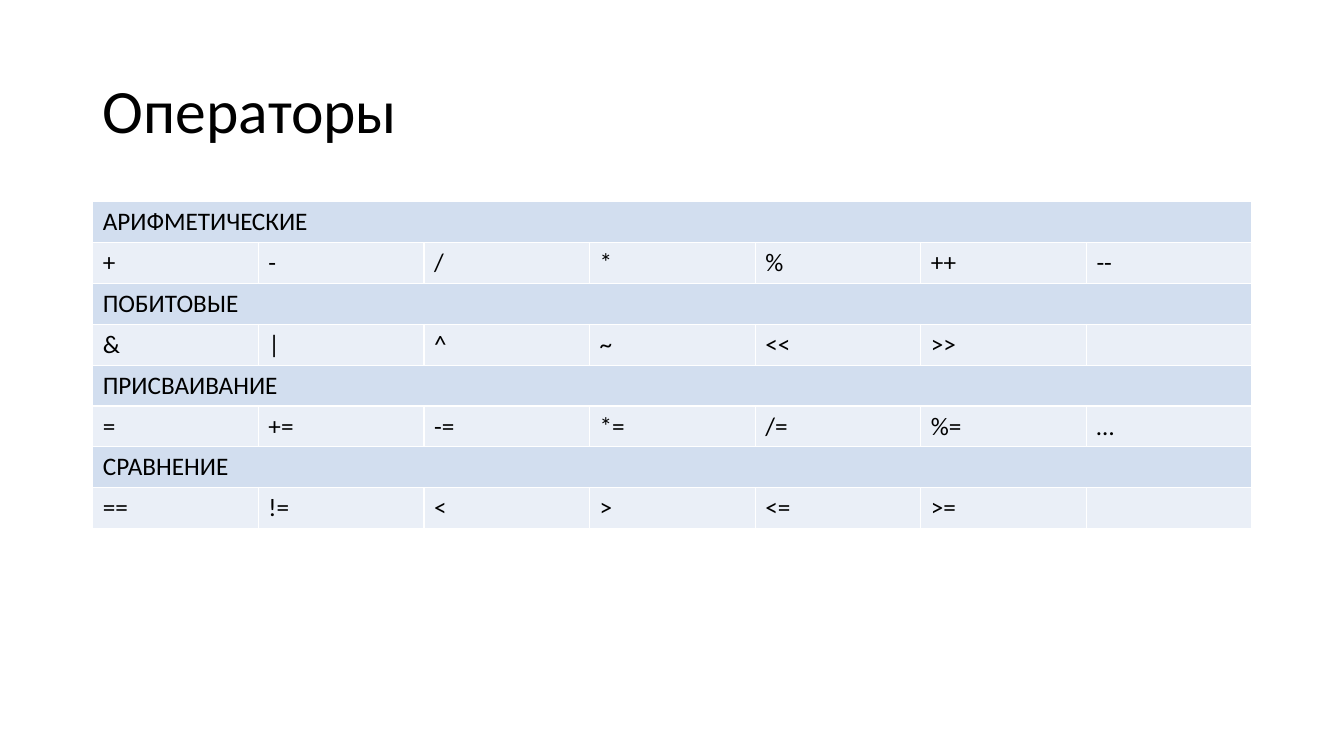
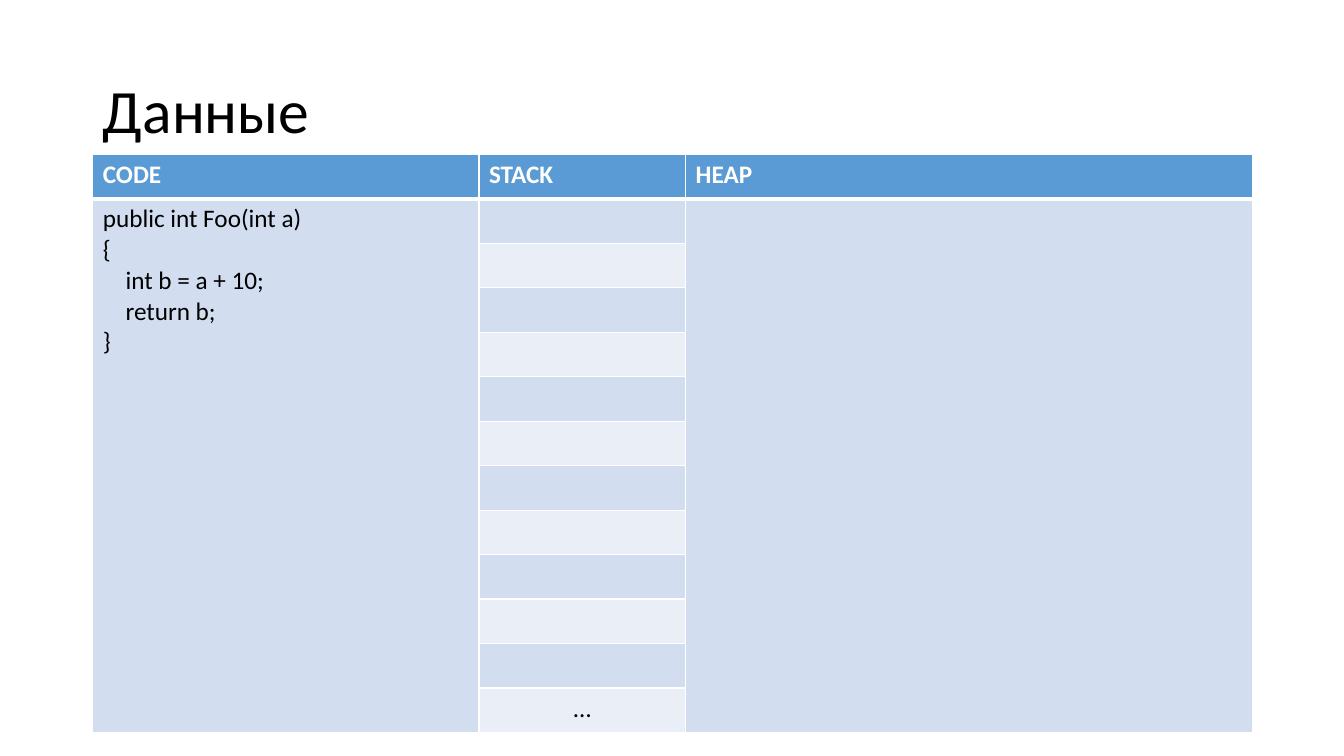
from lxml.etree import SubElement
from pptx import Presentation
from pptx.dml.color import RGBColor
from pptx.enum.text import MSO_ANCHOR, MSO_AUTO_SIZE, PP_ALIGN
from pptx.oxml.ns import qn
from pptx.util import Inches, Pt

FONT = "Calibri"
BLACK, WHITE = "000000", "FFFFFF"
HEADER, BAND_DARK, BAND_LIGHT = "5B9BD5", "D2DEEF", "EAEFF7"
TITLE_BOX = (0.92, 0.4, 11.5, 1.45)
TITLE_ONLY = 5

OPERATORS = {
    "АРИФМЕТИЧЕСКИЕ": ["+", "-", "/", "*", "%", "++", "--"],
    "ПОБИТОВЫЕ": ["&", "|", "^", "~", "<<", ">>"],
    "ПРИСВАИВАНИЕ": ["=", "+=", "-=", "*=", "/=", "%=", "…"],
    "СРАВНЕНИЕ": ["==", "!=", "<", ">", "<=", ">="],
}
MEMORY_AREAS = ["CODE", "STACK", "HEAP"]
STACK_CELLS = 12
CODE = """public int Foo(int a)
{
    int b = a + 10;
    return b;
}"""


def rgb(color):
    return RGBColor.from_string(color)


def add_run(paragraph, text, size=18, color=BLACK, bold=False):
    run = paragraph.add_run()
    run.text = text
    font = run.font
    font.name, font.size, font.bold = FONT, Pt(size), bold
    font.color.rgb = rgb(color)


def add_titled_slide(presentation, text):
    slide = presentation.slides.add_slide(presentation.slide_layouts[TITLE_ONLY])
    title = slide.shapes.title
    title.left, title.top, title.width, title.height = map(Inches, TITLE_BOX)
    frame = title.text_frame
    frame.word_wrap = True
    frame.auto_size = MSO_AUTO_SIZE.NONE
    frame.vertical_anchor = MSO_ANCHOR.MIDDLE
    paragraph = frame.paragraphs[0]
    paragraph.alignment = PP_ALIGN.LEFT
    paragraph.line_spacing = 0.9
    add_run(paragraph, text, size=44)
    return slide


def add_plain_table(slide, box, row_count, column_widths):
    left, top, width, height = map(Inches, box)
    table = slide.shapes.add_table(
        row_count, len(column_widths), left, top, width, height).table
    for column, column_width in zip(table.columns, column_widths):
        column.width = Inches(column_width)
    for row in table.rows:
        row.height = Inches(box[3] / row_count)
    return table


def set_borders(cell, top=1, bottom=1):
    properties = cell._tc.get_or_add_tcPr()
    for tag, points in (("lnL", 1), ("lnR", 1), ("lnT", top), ("lnB", bottom)):
        line = SubElement(properties, qn(f"a:{tag}"), w=str(Pt(points)))
        fill = SubElement(line, qn("a:solidFill"))
        SubElement(fill, qn("a:srgbClr"), val=WHITE)


def fill_cell(cell, fill, text="", color=BLACK, bold=False, align=PP_ALIGN.LEFT,
              top=1, bottom=1):
    set_borders(cell, top, bottom)
    cell.fill.solid()
    cell.fill.fore_color.rgb = rgb(fill)
    frame = cell.text_frame
    for index, line in enumerate(text.split("\n")):
        paragraph = frame.add_paragraph() if index else frame.paragraphs[0]
        paragraph.alignment = align
        paragraph.font.size = Pt(18)
        if line:
            add_run(paragraph, line, color=color, bold=bold)


def add_operator_table(slide, box):
    """Each group takes a full-width heading row and a row of operators."""
    column_count = max(map(len, OPERATORS.values()))
    widths = [box[2] / column_count] * column_count
    table = add_plain_table(slide, box, 2 * len(OPERATORS), widths)
    for group, (heading, operators) in enumerate(OPERATORS.items()):
        row = 2 * group
        table.cell(row, 0).merge(table.cell(row, column_count - 1))
        for column in range(column_count):
            fill_cell(table.cell(row, column), BAND_DARK,
                      "" if column else heading)
            operator = operators[column] if column < len(operators) else ""
            fill_cell(table.cell(row + 1, column), BAND_LIGHT, operator)


def add_memory_table(slide, box):
    """Code and heap are tall single cells beside the banded stack."""
    table = add_plain_table(slide, box, STACK_CELLS + 1, [3.83, 2.05, 5.62])
    for column, heading in enumerate(MEMORY_AREAS):
        fill_cell(table.cell(0, column), HEADER, heading, WHITE, True, bottom=3)
    for column in (0, 2):
        table.cell(1, column).merge(table.cell(STACK_CELLS, column))
    for row in range(1, STACK_CELLS + 1):
        top = 3 if row == 1 else 1
        fill_cell(table.cell(row, 0), BAND_DARK, CODE if row == 1 else "", top=top)
        fill_cell(table.cell(row, 1), BAND_DARK if row % 2 else BAND_LIGHT,
                  "…" if row == STACK_CELLS else "", align=PP_ALIGN.CENTER, top=top)
        fill_cell(table.cell(row, 2), BAND_DARK, top=top)


def main():
    presentation = Presentation()
    presentation.slide_width = Inches(13.33)
    presentation.slide_height = Inches(7.5)
    add_operator_table(add_titled_slide(presentation, "Операторы"),
                       (0.92, 2, 11.5, 3.24))
    add_memory_table(add_titled_slide(presentation, "Данные"),
                     (0.92, 1.53, 11.5, 5.74))
    presentation.save("out.pptx")


if __name__ == "__main__":
    main()
